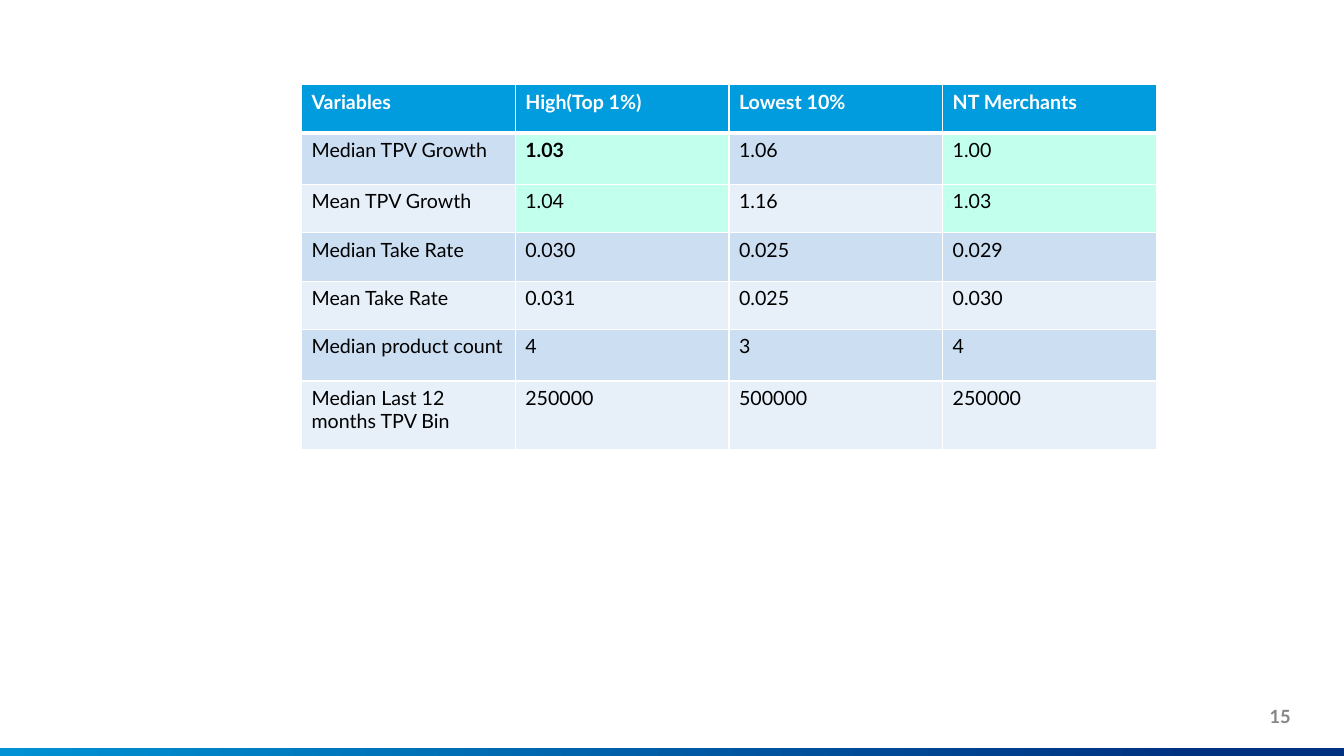
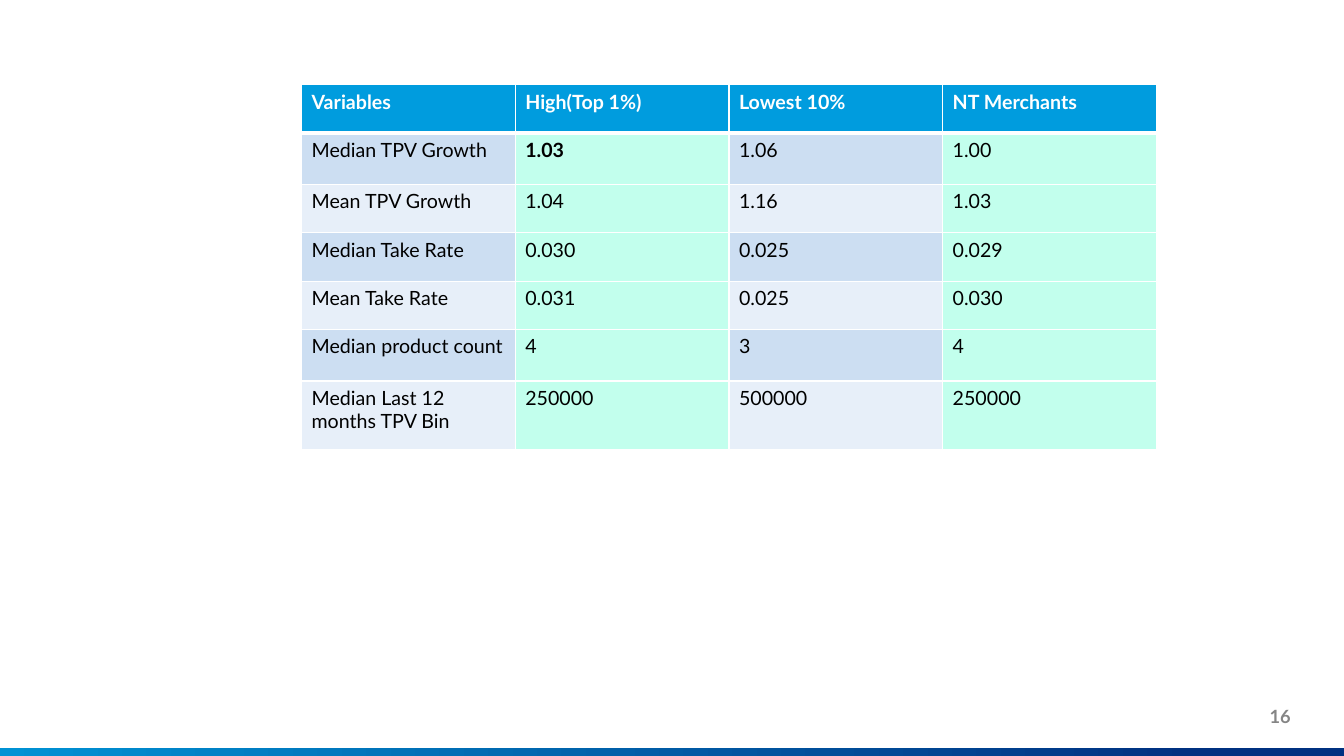
import dataclasses

import pptx
import pptx.dml.color
import pptx.enum.shapes
import pptx.enum.text
import pptx.oxml
import pptx.oxml.ns
import pptx.util

Inches = pptx.util.Inches
Pt = pptx.util.Pt
RGB = pptx.dml.color.RGBColor.from_string


@dataclasses.dataclass(frozen=True)
class Theme:
    font: str = "Lato"
    table_size: int = 14
    number_size: int = 13
    white: str = "FFFFFF"
    text: str = "000000"
    number: str = "858585"
    header: str = "009CDE"
    bands: tuple = ("CCDEF2", "E7EFF9")
    highlight: str = "C2FFED"
    bar_start: str = "0092D4"
    bar_end: str = "003181"


theme = Theme()

ROWS = [
    ("Variables", "High(Top 1%)", "Lowest 10%", "NT Merchants"),
    ("Median TPV Growth", "1.03", "1.06", "1.00"),
    ("Mean TPV Growth", "1.04", "1.16", "1.03"),
    ("Median Take Rate", "0.030", "0.025", "0.029"),
    ("Mean Take Rate", "0.031", "0.025", "0.030"),
    ("Median product count", "4", "3", "4"),
    ("Median Last 12 months TPV Bin", "250000", "500000", "250000"),
]
ROW_HEIGHTS = [0.48, 0.51, 0.48, 0.48, 0.48, 0.51, 0.68]
COLUMN_WIDTH = 2.12
HIGHLIGHT_COLUMNS = (1, 3)
BOLD_CELL = (1, 1)

# Slide number and last highlighted table row
SLIDES = [(15, 2), (16, 6)]


def set_font(p, size, color, bold):
    p.font.name = theme.font
    p.font.size = Pt(size)
    p.font.bold = bold
    p.font.color.rgb = RGB(color)


def set_borders(cell, **widths):
    tc_pr = cell._tc.get_or_add_tcPr()
    for side, width in widths.items():
        tc_pr.append(pptx.oxml.parse_xml(
            f'<a:ln{side} {pptx.oxml.ns.nsdecls("a")} w="{Pt(width)}"><a:solidFill>'
            f'<a:srgbClr val="{theme.white}"/></a:solidFill></a:ln{side}>'))


prs = pptx.Presentation()
prs.slide_width = Inches(13.33)
prs.slide_height = Inches(7.5)

for number, last_highlight in SLIDES:
    s = prs.slides.add_slide(prs.slide_layouts[6])

    # Gradient bar along the bottom edge
    bar = s.shapes.add_shape(pptx.enum.shapes.MSO_SHAPE.RECTANGLE,
                             0, Inches(7.42), prs.slide_width, Inches(0.08))
    bar.shadow.inherit = False
    bar.line.fill.background()
    bar.fill.gradient()
    bar.fill.gradient_angle = 0
    start, end = bar.fill.gradient_stops
    start.color.rgb, start.position = RGB(theme.bar_start), 0
    end.color.rgb, end.position = RGB(theme.bar_end), 0.89

    # Comparison table
    columns = len(ROWS[0])
    table = s.shapes.add_table(len(ROWS), columns, Inches(2.99), Inches(0.84),
                               Inches(COLUMN_WIDTH * columns),
                               Inches(sum(ROW_HEIGHTS))).table
    table.horz_banding = False
    for column in table.columns:
        column.width = Inches(COLUMN_WIDTH)
    for i, (values, height) in enumerate(zip(ROWS, ROW_HEIGHTS)):
        table.rows[i].height = Inches(height)
        for j, value in enumerate(values):
            cell = table.cell(i, j)
            cell.text = value
            is_header = i == 0
            set_font(cell.text_frame.paragraphs[0], theme.table_size,
                     theme.white if is_header else theme.text,
                     is_header or (i, j) == BOLD_CELL)
            set_borders(cell, L=1, R=1, T=3 if i == 1 else 1, B=3 if is_header else 1)
            if is_header:
                color = theme.header
            elif j in HIGHLIGHT_COLUMNS and i <= last_highlight:
                color = theme.highlight
            else:
                color = theme.bands[(i - 1) % 2]
            cell.fill.solid()
            cell.fill.fore_color.rgb = RGB(color)

    # Slide number
    tf = s.shapes.add_textbox(Inches(12.22), Inches(6.95),
                              Inches(0.58), Inches(0.32)).text_frame
    tf.word_wrap = True
    tf.margin_left = tf.margin_right = 0
    tf.vertical_anchor = pptx.enum.text.MSO_ANCHOR.MIDDLE
    p = tf.paragraphs[0]
    p.text = str(number)
    p.alignment = pptx.enum.text.PP_ALIGN.RIGHT
    set_font(p, theme.number_size, theme.number, True)

prs.save("out.pptx")
